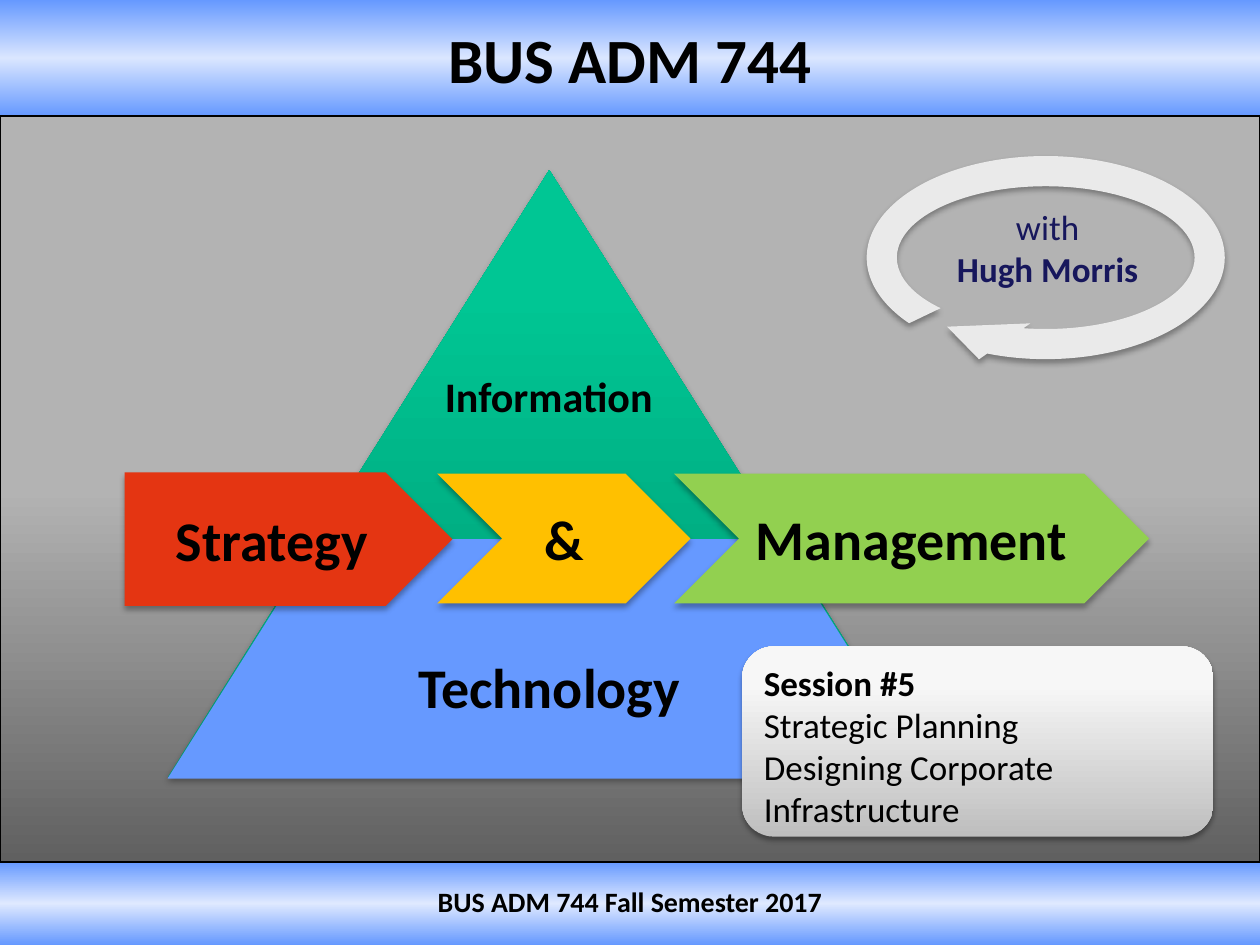
from copy import deepcopy

from lxml.etree import SubElement
from pptx import Presentation
from pptx.dml.color import RGBColor
from pptx.enum.shapes import MSO_SHAPE as Shape
from pptx.enum.text import MSO_ANCHOR as Anchor, PP_ALIGN as Align
from pptx.oxml.ns import qn
from pptx.util import Inches, Pt

BLACK = RGBColor(0x00, 0x00, 0x00)
BLUE = RGBColor(0x66, 0x99, 0xFF)
PALE_BLUE = RGBColor(0xDF, 0xE9, 0xFF)
TITLE_BLUE = RGBColor(0xDA, 0xE6, 0xFF)
NAVY = RGBColor(0x17, 0x17, 0x5C)
GREY = RGBColor(0xB3, 0xB3, 0xB3)
DARK_GREY = RGBColor(0x60, 0x60, 0x60)
LIGHT_GREY = RGBColor(0xEA, 0xEA, 0xEA)
SILVER = RGBColor(0xBE, 0xBE, 0xBE)
OFF_WHITE = RGBColor(0xF7, 0xF7, 0xF7)
NEAR_WHITE = RGBColor(0xF8, 0xF8, 0xF8)
DARK_GREEN = RGBColor(0x00, 0x98, 0x72)
GREEN = RGBColor(0x00, 0xC6, 0x94)
BRIGHT_GREEN = RGBColor(0x00, 0xC7, 0x95)
RED = RGBColor(0xE4, 0x35, 0x12)
AMBER = RGBColor(0xFF, 0xC0, 0x00)
LIME = RGBColor(0x92, 0xD0, 0x50)

DOWN, UP = 270, 90
SOFT = {"alpha": 32, "blur": 3.5, "distance": 2.2}
CARD = {"alpha": 35, "blur": 3.1, "distance": 1.8}


class SlideBuilder:
    """Draws styled elements on one slide, placed on a grid of 100 columns by 75 rows."""

    font_name = "Calibri"

    def __init__(self, presentation):
        self.column = presentation.slide_width / 100
        self.row = presentation.slide_height / 75
        self.slide = presentation.slides.add_slide(presentation.slide_layouts[6])

    def place(self, left, top, width, height):
        return (round(left * self.column), round(top * self.row),
                round(width * self.column), round(height * self.row))

    def shape(self, kind, box, fill, adjustments=(), line=None, shadow=None):
        shape = self.slide.shapes.add_shape(kind, *self.place(*box))
        for index, value in enumerate(adjustments):
            shape.adjustments[index] = value
        if isinstance(fill, RGBColor):
            shape.fill.solid()
            shape.fill.fore_color.rgb = fill
        else:
            self.gradient(shape, *fill)
        if line is None:
            shape.line.fill.background()
        else:
            shape.line.color.rgb = line
            shape.line.width = Pt(0.75)
        shape.shadow.inherit = False
        if shadow:
            self.shadow(shape, **shadow)
        return shape

    def gradient(self, shape, angle, stops):
        shape.fill.gradient()
        shape.fill.gradient_angle = angle
        stop_list = shape._element.spPr.find(".//" + qn("a:gsLst"))
        stop_list.append(deepcopy(stop_list[-1]))
        for stop, (position, color) in zip(shape.fill.gradient_stops, stops):
            stop.position = position
            stop.color.rgb = color

    def shadow(self, shape, alpha, blur, distance):
        effects = shape._element.spPr.find(qn("a:effectLst"))
        outer = SubElement(effects, qn("a:outerShdw"), blurRad=str(Pt(blur)),
                           dist=str(Pt(distance)), dir="5400000", rotWithShape="0")
        color = SubElement(outer, qn("a:srgbClr"), val=str(BLACK))
        SubElement(color, qn("a:alpha"), val=str(alpha * 1000))

    def label(self, shape, lines, size, color=BLACK, align=Align.CENTER,
              anchor=Anchor.MIDDLE, before=0):
        frame = shape.text_frame
        frame.word_wrap = True
        frame.vertical_anchor = anchor
        for index, (text, bold) in enumerate(lines):
            paragraph = frame.add_paragraph() if index else frame.paragraphs[0]
            paragraph.alignment = align
            paragraph.space_before = Pt(before)
            run = paragraph.add_run()
            run.text = text
            run.font.color.rgb = color
            font_format = {"name": self.font_name, "size": Pt(size), "bold": bold}
            for name, value in font_format.items():
                setattr(run.font, name, value)

    def text(self, box, lines, size, **style):
        text_box = self.slide.shapes.add_textbox(*self.place(*box))
        self.label(text_box, lines, size, anchor=Anchor.TOP, **style)


def main():
    presentation = Presentation()
    presentation.slide_width = Inches(10)
    presentation.slide_height = Inches(7.5)
    builder = SlideBuilder(presentation)

    builder.shape(Shape.RECTANGLE, (0, 68.4, 100, 6.6),
                  (DOWN, [(0, BLUE), (0.5, PALE_BLUE), (1, BLUE)]))
    title = builder.shape(Shape.RECTANGLE, (0, 0, 100, 9.2),
                          (DOWN, [(0, BLUE), (0.5, TITLE_BLUE), (1, BLUE)]))
    builder.label(title, [("BUS ADM 744", True)], 36)
    builder.text((0, 69.7, 100, 5.3), [("BUS ADM 744 Fall Semester 2017", True)], 16,
                 before=3.2)

    builder.shape(Shape.ROUNDED_RECTANGLE, (0, 9.2, 100, 59.2),
                  (DOWN, [(0, GREY), (0.5, GREY), (1, DARK_GREY)]), [0], line=BLACK)
    builder.shape(Shape.ISOSCELES_TRIANGLE, (13.3, 13.5, 60.6, 48.2),
                  (UP, [(0, DARK_GREEN), (0.8, GREEN), (1, BRIGHT_GREEN)]), shadow=SOFT)
    builder.shape(Shape.CIRCULAR_ARROW, (67.5, 11.1, 31, 18.7), LIGHT_GREY,
                  [0.128, 17.331, 69.666, 92.596, 0.133], shadow=SOFT)
    builder.text((73.8, 15.8, 18.7, 7.7), [("with", False), ("Hugh Morris", True)], 20,
                 color=NAVY)
    builder.text((34.2, 28.9, 18.7, 5), [("Information", True)], 24)
    builder.shape(Shape.TRAPEZOID, (13.3, 42.8, 60.6, 19), BLUE, [0.631])

    steps = [
        ("Strategy", Shape.PENTAGON, (9.9, 37.5, 26, 10.6), RED),
        ("&", Shape.CHEVRON, (34.7, 37.6, 20.1, 10.3), AMBER),
        ("Management", Shape.CHEVRON, (53.5, 37.6, 37.7, 10.3), LIME),
    ]
    for name, kind, box, color in steps:
        step = builder.shape(kind, box, color, shadow=SOFT)
        builder.label(step, [(name, True)], 32)

    builder.text((31.9, 51.3, 23.4, 6.4), [("Technology", True)], 32)
    session = builder.shape(Shape.ROUNDED_RECTANGLE, (58.9, 51.3, 37.4, 15.1),
                            (UP, [(0, SILVER), (0.8, OFF_WHITE), (1, NEAR_WHITE)]),
                            shadow=CARD)
    builder.label(session, [("Session #5", True), ("Strategic Planning", False),
                            ("Designing Corporate Infrastructure", False)], 20,
                  align=Align.LEFT, anchor=Anchor.TOP)
    presentation.save("out.pptx")


if __name__ == "__main__":
    main()
